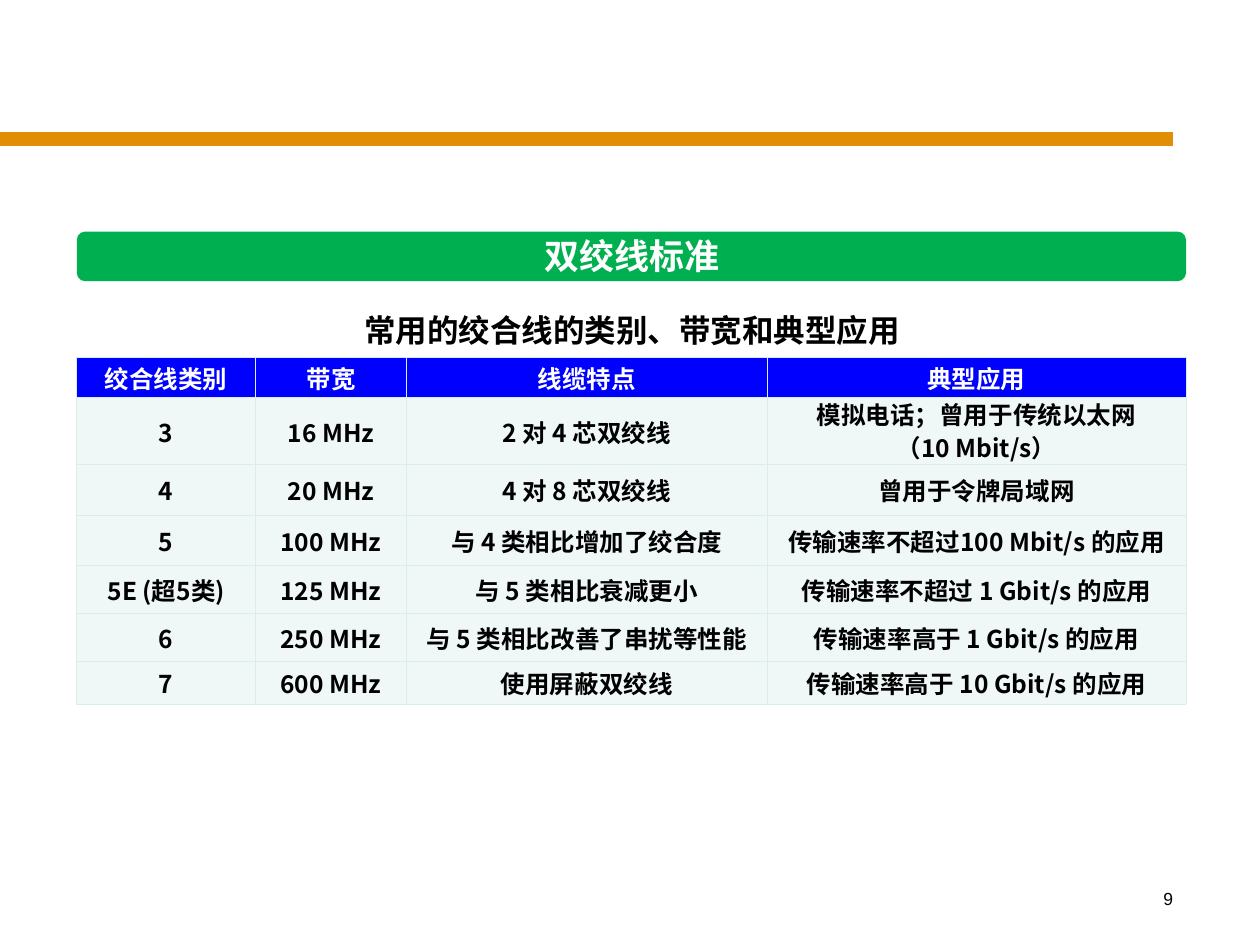
from lxml.etree import SubElement
from pptx import Presentation
from pptx.dml.color import RGBColor
from pptx.enum.shapes import MSO_CONNECTOR, MSO_SHAPE
from pptx.enum.text import MSO_ANCHOR, MSO_AUTO_SIZE, PP_ALIGN
from pptx.oxml.ns import qn
from pptx.util import Cm, Pt

COLORS = {
    "rule": "DF8E05", "banner": "00B050", "header": "0000FF", "body": "EFF7F7",
    "border": "D9EDEE", "white": "FFFFFF", "black": "000000",
}
CJK_FONT = "Noto Sans CJK SC"
MARGINS = {"margin_left": 0.08, "margin_right": 0.08, "margin_top": 0, "margin_bottom": 0}


def write(text_frame, text, size, color, font=CJK_FONT, bold=True, align=PP_ALIGN.CENTER):
    """Fill a text frame, one paragraph per line, in a single format."""
    text_frame.text = text
    values = {"size": Pt(size), "name": font, "bold": bold}
    for paragraph in text_frame.paragraphs:
        paragraph.alignment = align
        for run in paragraph.runs:
            for name, value in values.items():
                setattr(run.font, name, value)
            run.font.color.rgb = RGBColor.from_string(COLORS[color])
            SubElement(run.font._element, qn("a:ea"), typeface=font)


def set_border(cell, side, color, width):
    """Draw one side of a table cell; call before the cell is filled."""
    line = SubElement(cell._tc.get_or_add_tcPr(), qn(f"a:ln{side}"), w=str(Pt(width)))
    fill = SubElement(line, qn("a:solidFill"))
    SubElement(fill, qn("a:srgbClr"), val=COLORS[color])


presentation = Presentation()
presentation.slide_width = Cm(25.4)
presentation.slide_height = Cm(19.05)
slide = presentation.slides.add_slide(presentation.slide_layouts[5])
shapes = slide.shapes

# Orange rule
rule = shapes.add_connector(MSO_CONNECTOR.STRAIGHT, 0, Cm(2.8), Cm(23.65), Cm(2.8))
rule.line.color.rgb = RGBColor.from_string(COLORS["rule"])
rule.line.width = Pt(8)
SubElement(rule._element.spPr, qn("a:effectLst"))

# Green banner, placed behind the title
banner = shapes.add_shape(MSO_SHAPE.ROUNDED_RECTANGLE, Cm(1.55), Cm(4.67), Cm(22.36), Cm(1))
banner.shadow.inherit = False
banner.fill.solid()
banner.fill.fore_color.rgb = RGBColor.from_string(COLORS["banner"])
banner.line.fill.background()
title = shapes.title
title._element.addprevious(banner._element)

# Title, table caption and page number
caption = shapes.add_textbox(0, 0, 0, 0)
page_number = shapes.add_textbox(0, 0, 0, 0)
texts = [
    (title, (10.72, 4.6, 4.04, 1.12), MSO_ANCHOR.MIDDLE, "双绞线标准",
     {"size": 20, "color": "white"}),
    (caption, (7.09, 6.15, 11.3, 1.02), MSO_ANCHOR.TOP, "常用的绞合线的类别、带宽和典型应用",
     {"size": 18, "color": "black"}),
    (page_number, (18.62, 17.78, 5.28, 1.27), MSO_ANCHOR.TOP, "9",
     {"size": 10, "color": "black", "font": "Arial", "bold": False, "align": PP_ALIGN.RIGHT}),
]
for shape, box, anchor, text, format_values in texts:
    for name, value in zip(("left", "top", "width", "height"), box):
        setattr(shape, name, Cm(value))
    frame = shape.text_frame
    frame.auto_size = MSO_AUTO_SIZE.NONE
    frame.word_wrap = shape is page_number
    frame.vertical_anchor = anchor
    write(frame, text, **format_values)

# Narrow margins keep the title on one line
for name, value in MARGINS.items():
    setattr(title.text_frame, name, Cm(value))

# Table of twisted-pair categories
rows = [
    ("绞合线类别", "带宽", "线缆特点", "典型应用"),
    ("3", "16 MHz", "2 对 4 芯双绞线", "模拟电话；曾用于传统以太网\n（10 Mbit/s）"),
    ("4", "20 MHz", "4 对 8 芯双绞线", "曾用于令牌局域网"),
    ("5", "100 MHz", "与 4 类相比增加了绞合度", "传输速率不超过100 Mbit/s 的应用"),
    ("5E (超5类)", "125 MHz", "与 5 类相比衰减更小", "传输速率不超过 1 Gbit/s 的应用"),
    ("6", "250 MHz", "与 5 类相比改善了串扰等性能", "传输速率高于 1 Gbit/s 的应用"),
    ("7", "600 MHz", "使用屏蔽双绞线", "传输速率高于 10 Gbit/s 的应用"),
]
column_widths = [3.6, 3.05, 7.26, 8.45]
row_heights = [0.81, 1.35, 1.02, 1.01, 0.97, 0.96, 0.86]
table = shapes.add_table(len(rows), len(column_widths),
                         Cm(1.55), Cm(7.21), Cm(22.36), Cm(6.98)).table
for column, width in zip(table.columns, column_widths):
    column.width = Cm(width)
for row, height in zip(table.rows, row_heights):
    row.height = Cm(height)

for row_index, row in enumerate(rows):
    is_header = row_index == 0
    for column_index, text in enumerate(row):
        cell = table.cell(row_index, column_index)
        for side in "LRTB":
            set_border(cell, side, "border", 0.5)
        cell.fill.solid()
        cell.fill.fore_color.rgb = RGBColor.from_string(COLORS["header" if is_header else "body"])
        cell.vertical_anchor = MSO_ANCHOR.MIDDLE
        for name, value in MARGINS.items():
            setattr(cell, name, Cm(value))
        write(cell.text_frame, text, 14, "white" if is_header else "black")

# Tighter lines keep the two-line cell within its row
for paragraph in table.cell(1, 3).text_frame.paragraphs:
    paragraph.line_spacing = Pt(19)

presentation.save("out.pptx")
